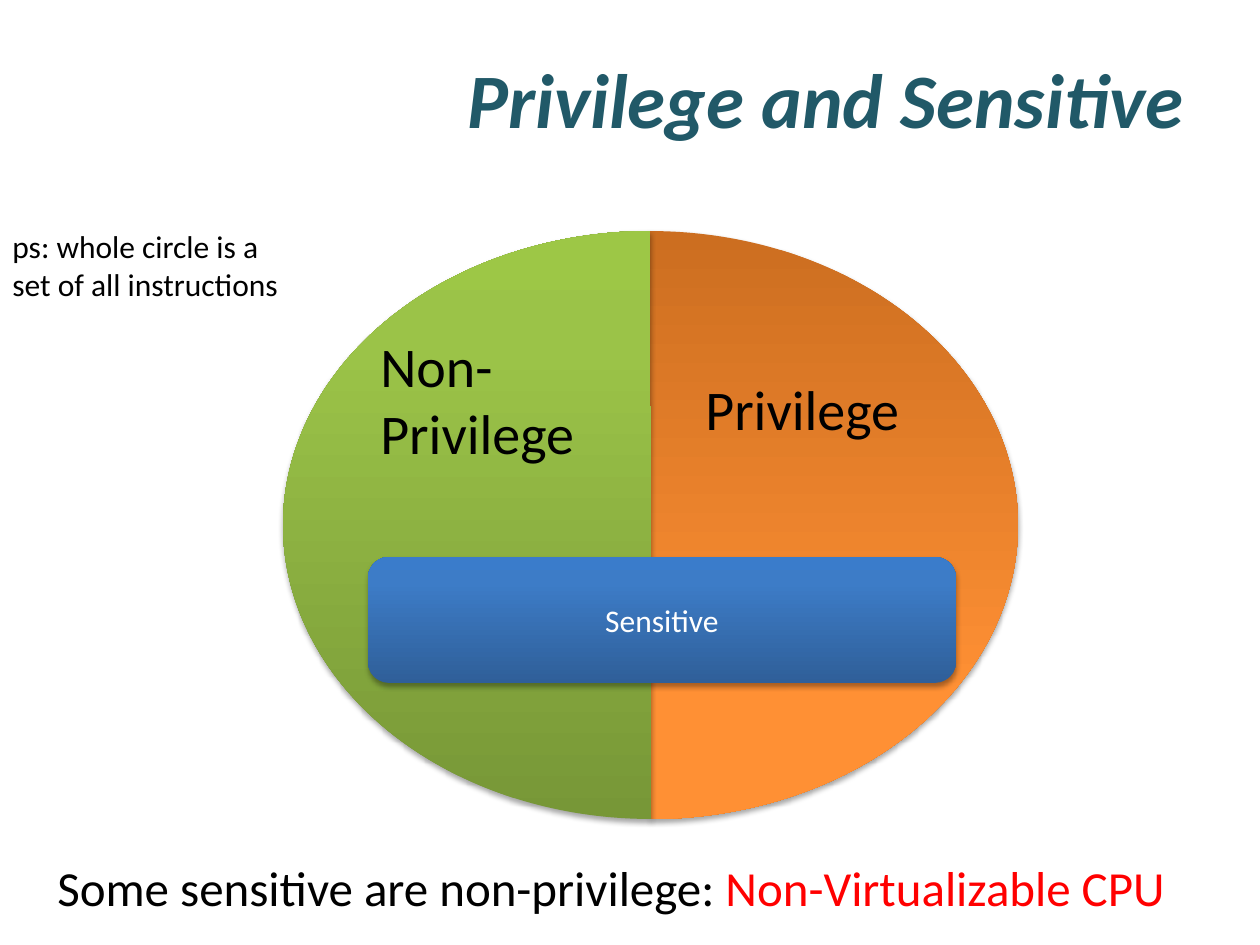
from pptx import Presentation
from pptx.dml.color import RGBColor
from pptx.enum.shapes import MSO_SHAPE
from pptx.enum.text import MSO_ANCHOR, MSO_AUTO_SIZE, PP_ALIGN
from pptx.oxml.ns import qn
from pptx.util import Pt
from lxml.etree import SubElement

# Content: boxes are left, top, width, height in pixels
COLORS = {"teal": "215968", "black": "000000", "white": "FFFFFF", "red": "FF0000"}
GRADIENTS = {
    "orange": [(0, "CC6E20"), (80, "FF9034"), (100, "FF9136")],
    "green": [(0, "779737"), (80, "9BC348"), (100, "9DC746")],
    "blue": [(0, "2F5F99"), (80, "3D7CC7"), (100, "3A7CCB")],
}
TITLE = ("Privilege and Sensitive", (63, 38, 1134, 120))
CIRCLE = (283, 231, 735, 588)
HALF = (53.895, 162)
NOTE = ((0, 221, 315, 89), 18, [("ps: whole circle is a set of all instructions", "black")])
HALVES = [("orange", 180), ("green", 0)]
LABELS = [
    ((368, 325, 252, 149), 32, [("Non-Privilege", "black")]),
    ((693, 368, 252, 81), 32, [("Privilege", "black")]),
]
SENSITIVE = ("Sensitive", (368, 557, 588, 126))
CONCLUSION = ((45, 851, 1162, 72), 28, [
    ("Some sensitive are non-privilege: ", "black"),
    ("Non-Virtualizable CPU", "red"),
])
SHADOW = {"blurRad": 40000, "dist": 23000, "dir": 5400000, "rotWithShape": 0}

SCALE = 914400 / 126


def emu(box):
    return [round(length * SCALE) for length in box]


def write(paragraph, runs, size, **formats):
    for text, color in runs:
        run = paragraph.add_run()
        run.text = text
        for key, value in {"name": "Calibri", "size": Pt(size), **formats}.items():
            setattr(run.font, key, value)
        run.font.color.rgb = RGBColor.from_string(COLORS[color])


def add_label(box, size, runs):
    frame = slide.shapes.add_textbox(*emu(box)).text_frame
    frame.word_wrap = True
    frame.auto_size = MSO_AUTO_SIZE.SHAPE_TO_FIT_TEXT
    write(frame.paragraphs[0], runs, size)


def add_color(parent, color, **children):
    tint = SubElement(parent, qn("a:srgbClr"), val=color)
    for tag, value in children.items():
        SubElement(tint, qn("a:" + tag), val=str(value))


def add_glossy(kind, box, gradient):
    shape = slide.shapes.add_shape(kind, *emu(box))
    shape.fill.gradient()
    shape.fill.gradient_angle = 90
    stops = shape.element.spPr.find(".//" + qn("a:gsLst"))
    for stop in list(stops):
        stops.remove(stop)
    for percent, color in GRADIENTS[gradient]:
        add_color(SubElement(stops, qn("a:gs"), pos=str(percent * 1000)), color)
    shape.line.fill.background()
    # Soft shadow below the shape
    shape.shadow.inherit = False
    effects = shape.element.spPr.find(qn("a:effectLst"))
    values = {key: str(value) for key, value in SHADOW.items()}
    add_color(SubElement(effects, qn("a:outerShdw"), values), COLORS["black"], alpha=35000)
    return shape


presentation = Presentation()
presentation.slide_width, presentation.slide_height = emu((1260, 945))
slide = presentation.slides.add_slide(presentation.slide_layouts[5])

# Title
title = slide.shapes.title
title_text, title_box = TITLE
for side, length in zip(("left", "top", "width", "height"), emu(title_box)):
    setattr(title, side, length)
title.text_frame.vertical_anchor = MSO_ANCHOR.MIDDLE
heading = title.text_frame.paragraphs[0]
heading.alignment = PP_ALIGN.RIGHT
write(heading, [(title_text, "teal")], 44, bold=True, italic=True)

# Circle of instructions: two halves with their labels
add_label(*NOTE)
for gradient, rotation in HALVES:
    half = add_glossy(MSO_SHAPE.CHORD, CIRCLE, gradient)
    half.rotation = rotation
    for index, value in enumerate(HALF):
        half.adjustments[index] = value
for label in LABELS:
    add_label(*label)

# Sensitive band across both halves
band_text, band_box = SENSITIVE
band = add_glossy(MSO_SHAPE.ROUNDED_RECTANGLE, band_box, "blue")
band.text_frame.vertical_anchor = MSO_ANCHOR.MIDDLE
caption = band.text_frame.paragraphs[0]
caption.alignment = PP_ALIGN.CENTER
write(caption, [(band_text, "white")], 18)

# Conclusion
add_label(*CONCLUSION)

presentation.save("out.pptx")
